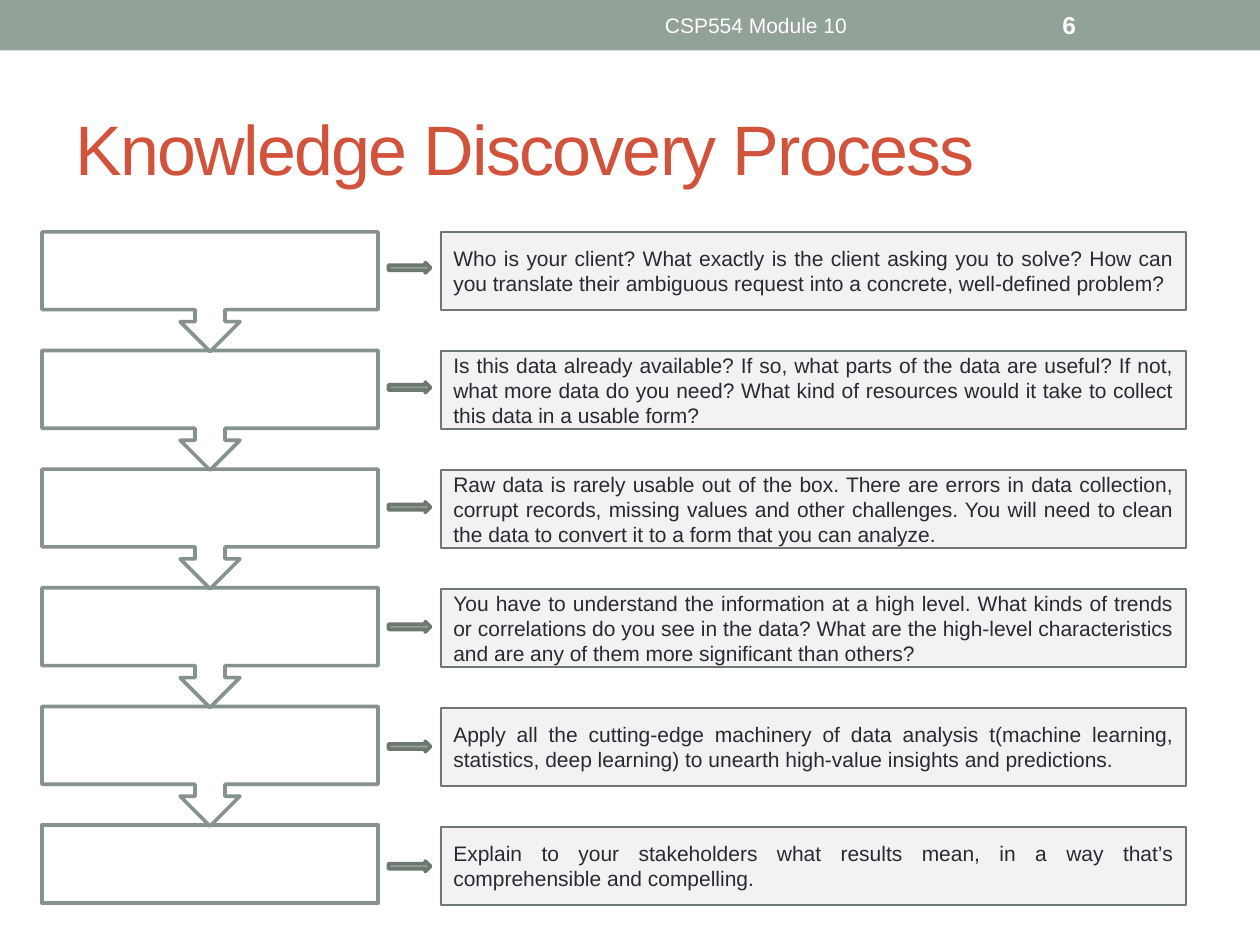
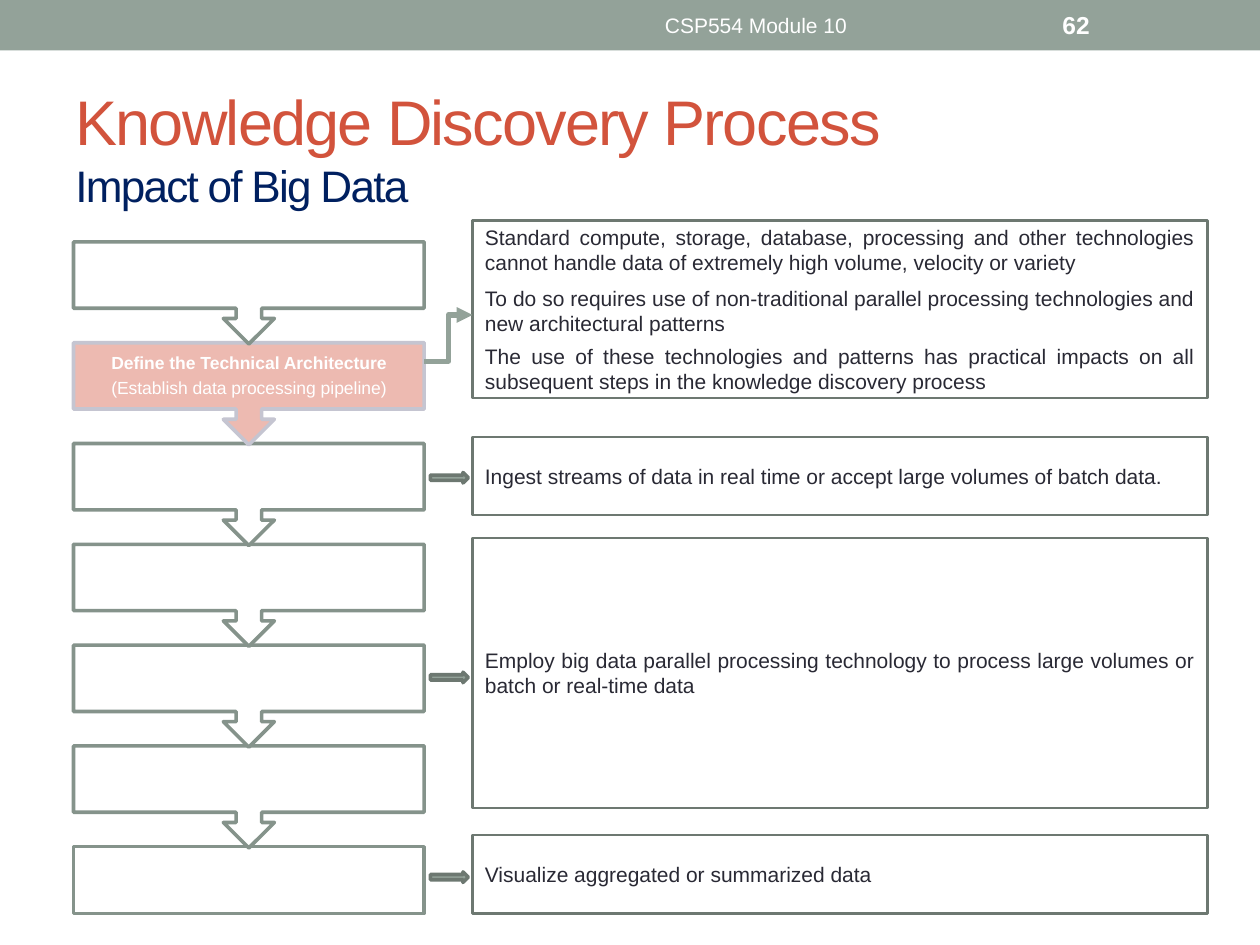
from dataclasses import dataclass

from lxml.etree import SubElement
from pptx import Presentation
from pptx.dml.color import RGBColor
from pptx.enum.shapes import MSO_CONNECTOR as Link, MSO_SHAPE as Shape
from pptx.enum.text import MSO_ANCHOR as Anchor, PP_ALIGN as Align
from pptx.oxml.ns import qn
from pptx.util import Emu, Inches, Pt

COLORS = {
    "band": "93A299", "title": "D2533C", "subtitle": "002060", "white": "FFFFFF",
    "step_line": "85938B", "detail_line": "6D7871", "detail_fill": "F2F2F2",
    "ink": "292934", "focus_fill": "EDBAB1", "focus_line": "C5C5D1",
}
FONT = "Arial"
COLUMNS, ROWS = 120, 90  # grid over the whole slide
FRAME_LINE, DETAIL_LINE = 2.08, 1.25
DETAIL_ROWS = 7.44

deck = Presentation()
deck.slide_width, deck.slide_height = Inches(10), Inches(7.5)


@dataclass
class Area:
    left: float
    top: float
    width: float
    height: float

    def emu(self) -> tuple:
        cell_width, cell_height = deck.slide_width / COLUMNS, deck.slide_height / ROWS
        return (Emu(round(self.left * cell_width)), Emu(round(self.top * cell_height)),
                Emu(round(self.width * cell_width)), Emu(round(self.height * cell_height)))


@dataclass
class Steps:
    """A column of boxes, each pointing down at the next."""
    left: float
    top: float
    width: float
    pitch: float
    callout_height: float
    last_height: float
    count: int
    focus: int = -1

    def area(self, index: int) -> Area:
        height = self.last_height if index == self.count - 1 else self.callout_height
        return Area(self.left, self.top + index * self.pitch, self.width, height)


@dataclass
class Detail:
    area: Area
    paragraphs: list
    gaps: tuple = (0,)
    fill: str = "white"


def rgb(name: str) -> RGBColor:
    return RGBColor.from_string(COLORS[name])


def add_run(paragraph, text: str, size: float, color: str, bold: bool = False):
    run = paragraph.add_run()
    run.text = text
    font = run.font
    font.name, font.size, font.bold = FONT, Pt(size), bold
    font.color.rgb = rgb(color)
    return run


def add_figure(slide, kind, area: Area, fill: str, line: str = "", weight: float = 0):
    figure = slide.shapes.add_shape(kind, *area.emu())
    figure.shadow.inherit = False
    figure.fill.solid()
    figure.fill.fore_color.rgb = rgb(fill)
    if line:
        figure.line.color.rgb = rgb(line)
        figure.line.width = Pt(weight)
    else:
        figure.line.fill.background()
    return figure


def add_text_frame(slide, area: Area):
    frame = slide.shapes.add_textbox(*area.emu()).text_frame
    frame.word_wrap = True
    frame.vertical_anchor = Anchor.MIDDLE
    return frame


def add_page(number: int, title_size: float, subtitle: str = ""):
    slide = deck.slides.add_slide(deck.slide_layouts[6])
    # Header band
    add_figure(slide, Shape.RECTANGLE, Area(0, 0, COLUMNS, 4.8), "band")
    course = add_text_frame(slide, Area(45, 0.24, 54, 4.32)).paragraphs[0]
    course.alignment = Align.CENTER
    add_run(course, "CSP554 Module 10", 12, "white")
    page = add_text_frame(slide, Area(100, 0.24, 14, 4.32)).paragraphs[0]
    add_run(page, str(number), 14, "white", bold=True)
    # Title
    title = add_text_frame(slide, Area(6, 7.5, 108, 13)).paragraphs[0]
    runs = [add_run(title, "Knowledge Discovery Process", title_size, "title")]
    if subtitle:
        title.add_line_break()
        runs.append(add_run(title, subtitle, title_size * 0.7, "subtitle"))
    for run in runs:
        run.font._element.set("spc", "-100")
    return slide


def add_steps(slide, steps: Steps) -> None:
    # Drawn upward, so that each arrow tip lies over the box below
    for index in reversed(range(steps.count)):
        fill, line = (("focus_fill", "focus_line") if index == steps.focus
                      else ("white", "step_line"))
        is_last = index == steps.count - 1
        kind = Shape.RECTANGLE if is_last else Shape.UP_ARROW_CALLOUT
        box = add_figure(slide, kind, steps.area(index), fill, line, FRAME_LINE)
        if not is_last:
            box.rotation = 180


def add_detail(slide, detail: Detail) -> None:
    frame = add_figure(slide, Shape.RECTANGLE, detail.area, detail.fill,
                       "detail_line", DETAIL_LINE).text_frame
    frame.word_wrap = True
    frame.vertical_anchor = Anchor.MIDDLE
    for index, (text, gap) in enumerate(zip(detail.paragraphs, detail.gaps)):
        paragraph = frame.add_paragraph() if index else frame.paragraphs[0]
        paragraph.alignment = Align.JUSTIFY
        if gap:
            paragraph.space_before = Pt(gap)
        add_run(paragraph, text, 12, "ink")


def add_pointer(slide, left: float, top: float, width: float) -> None:
    add_figure(slide, Shape.RIGHT_ARROW, Area(left, top, width, 1),
               "band", "detail_line", FRAME_LINE)


def add_focus_label(slide, area: Area) -> None:
    frame = add_text_frame(slide, area)
    frame.margin_left = frame.margin_right = Inches(0.08)
    frame.margin_top = frame.margin_bottom = Inches(0.08)
    lines = [("Define the Technical Architecture", True),
             ("(Establish data processing pipeline)", False)]
    for index, (text, bold) in enumerate(lines):
        paragraph = frame.add_paragraph() if index else frame.paragraphs[0]
        paragraph.alignment = Align.CENTER
        paragraph.line_spacing = 0.9
        paragraph.space_after = Pt(3.5)
        add_run(paragraph, text, 10, "white", bold)


def add_elbow(slide, span: Area) -> None:
    left, top, width, height = span.emu()
    elbow = slide.shapes.add_connector(Link.ELBOW, left, top + height, left + width, top)
    elbow.line.color.rgb = rgb("band")
    elbow.line.width = Pt(3)
    SubElement(elbow.line._get_or_add_ln(), qn("a:tailEnd"), type="triangle")
    SubElement(elbow._element.spPr, qn("a:effectLst"))


def build_process() -> None:
    slide = add_page(6, 40)
    add_steps(slide, Steps(4, 22.08, 32, 11.3, 11.4, DETAIL_ROWS, count=6))
    questions = [
        "Who is your client? What exactly is the client asking you to solve? How can you "
        "translate their ambiguous request into a concrete, well-defined problem?",
        "Is this data already available? If so, what parts of the data are useful? If not, what "
        "more data do you need? What kind of resources would it take to collect this data in a "
        "usable form?",
        "Raw data is rarely usable out of the box. There are errors in data collection, corrupt "
        "records, missing values and other challenges. You will need to clean the data to "
        "convert it to a form that you can analyze.",
        "You have to understand the information at a high level. What kinds of trends or "
        "correlations do you see in the data? What are the high-level characteristics and are "
        "any of them more significant than others?",
        "Apply all the cutting-edge machinery of data analysis t(machine learning, statistics, "
        "deep learning) to unearth high-value insights and predictions.",
        "Explain to your stakeholders what results mean, in a way that’s comprehensible and "
        "compelling.",
    ]
    for index, question in enumerate(questions):
        area = Area(42, 22.08 + index * 11.33, 71, DETAIL_ROWS)
        add_detail(slide, Detail(area, [question], fill="detail_fill"))
        add_pointer(slide, 37, 25 + index * 11.4, 4)


def build_impact() -> None:
    slide = add_page(62, 36, "Impact of Big Data")
    steps = Steps(7, 23.04, 33.4, 9.6, 9.72, 6.36, count=7, focus=1)
    add_steps(slide, steps)
    focus = steps.area(steps.focus)
    add_focus_label(slide, Area(focus.left, focus.top, focus.width, steps.last_height))

    # Impacts beside the steps
    impacts = [
        Detail(Area(45, 21, 70, 16.92), [
            "Standard compute, storage, database, processing and other technologies cannot "
            "handle data of extremely high volume, velocity or variety",
            "To do so requires use of non-traditional parallel processing technologies and new "
            "architectural patterns",
            "The use of these technologies and patterns has practical impacts on all subsequent "
            "steps in the knowledge discovery process",
        ], gaps=(0, 5.75, 4.6)),
        Detail(Area(45, 41.6, 70, DETAIL_ROWS), [
            "Ingest streams of data in real time or accept large volumes of batch data."]),
        Detail(Area(45, 51.25, 70, 25.7), [
            "Employ big data parallel processing technology to process large volumes or batch "
            "or real-time data"]),
        Detail(Area(45, 79.56, 70, DETAIL_ROWS), ["Visualize aggregated or summarized data"]),
    ]
    for impact in impacts:
        add_detail(slide, impact)
    add_elbow(slide, Area(40.4, 30, 4.6, 4.4))
    for index in range(3):
        add_pointer(slide, 41, 45 + index * 19.02, 3.6)


build_process()
build_impact()
deck.save("out.pptx")
